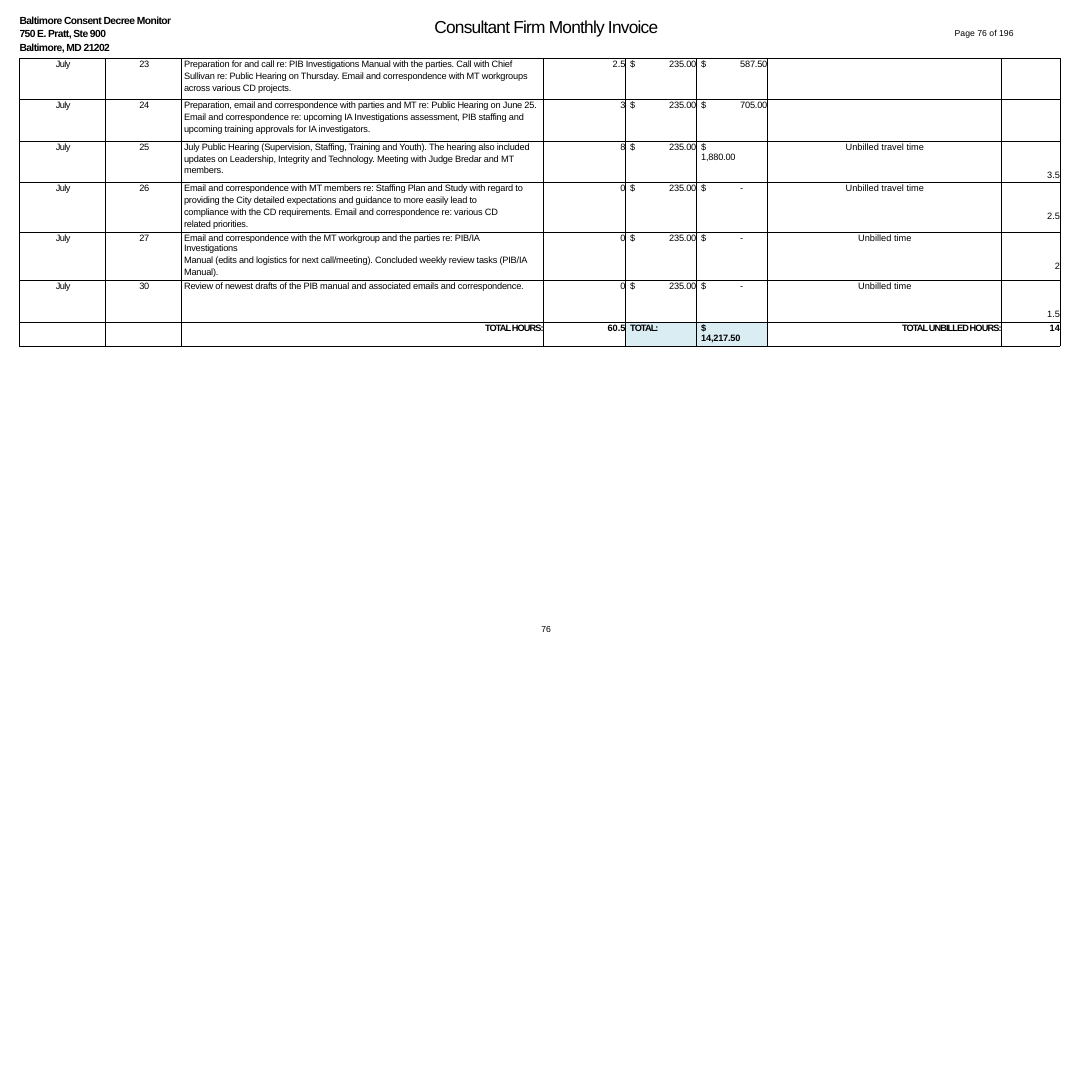
import pptx
import pptx.util
import pptx.dml.color
import pptx.enum.text
from lxml import etree
from pptx.oxml.ns import qn

Inches = pptx.util.Inches
Pt = pptx.util.Pt
ALIGN = pptx.enum.text.PP_ALIGN
COLORS = {"ink": "000000", "total": "D9EDF3"}
FONT = "Arial"
WIDTHS = [1.1, 0.98, 4.64, 1.05, 0.91, 0.91, 3, 0.75]
HEIGHTS = [0.53] * 6 + [0.16]
ALIGNS = [ALIGN.CENTER, ALIGN.CENTER, ALIGN.LEFT, ALIGN.RIGHT,
          ALIGN.LEFT, ALIGN.LEFT, ALIGN.CENTER, ALIGN.RIGHT]
INDENTS = [0.02, 0.02, 0.03, 0, 0.06, 0.06, 0.01, 0]
TRACKS = [-0.5, -0.2, -0.2, 0, -0.2, -0.2, 0, 0]
RATE = "$\t235.00"
ROWS = [
    ["July", "23",
     "Preparation for and call re: PIB Investigations Manual with the parties. Call with Chief\n"
     "Sullivan re: Public Hearing on Thursday. Email and correspondence with MT workgroups\v"
     "across various CD projects.", "2.5", RATE, "$\t587.50", "", ""],
    ["July", "24",
     "Preparation, email and correspondence with parties and MT re: Public Hearing on June 25.\n"
     "Email and correspondence re: upcoming IA Investigations assessment, PIB staffing and\v"
     "upcoming training approvals for IA investigators.", "3", RATE, "$\t705.00", "", ""],
    ["July", "25",
     "July Public Hearing (Supervision, Staffing, Training and Youth). The hearing also included\n"
     "updates on Leadership, Integrity and Technology. Meeting with Judge Bredar and MT\v"
     "members.", "8", RATE, "$\t1,880.00", "Unbilled travel time", "3.5"],
    ["July", "26",
     "Email and correspondence with MT members re: Staffing Plan and Study with regard to\n"
     "providing the City detailed expectations and guidance to more easily lead to\v"
     "compliance with the CD requirements. Email and correspondence re: various CD\v"
     "related priorities.", "0", RATE, "$\t-", "Unbilled travel time", "2.5"],
    ["July", "27",
     "Email and correspondence with the MT workgroup and the parties re: PIB/IA\v"
     "Investigations\n"
     "Manual (edits and logistics for next call/meeting). Concluded weekly review tasks (PIB/IA\v"
     "Manual).", "0", RATE, "$\t-", "Unbilled time", "2"],
    ["July", "30",
     "Review of newest drafts of the PIB manual and associated emails and correspondence.",
     "0", RATE, "$\t-", "Unbilled time", "1.5"],
    ["", "", "TOTAL HOURS:", "60.5", "TOTAL:", "$\t14,217.50",
     "TOTAL UNBILLED HOURS:", "14"],
]
TABS = {RATE: 0.5, "$\t587.50": 0.51, "$\t705.00": 0.51, "$\t1,880.00": 0.42,
        "$\t-": 0.69, "$\t14,217.50": 0.35}


def write(frame, text, size, track=0, bold=False, align=ALIGN.LEFT, indent=0.01, space=1.0):
    """Fill a text frame and format its paragraphs and runs."""
    frame.text = text
    frame.word_wrap = True
    for rank, para in enumerate(frame.paragraphs):
        para.alignment = align
        if rank or space != 1.15:
            para.line_spacing = space
        props = para._p.get_or_add_pPr()
        props.set("marL", str(Inches(indent)))
        props.set("indent", "0")
        if text in TABS:
            tabs = etree.SubElement(props, qn("a:tabLst"))
            etree.SubElement(tabs, qn("a:tab"), pos=str(Inches(TABS[text])), algn="l")
        for run in para.runs:
            run.font.name = FONT
            run.font.size = Pt(size)
            run.font.bold = bold
            run.font.color.rgb = pptx.dml.color.RGBColor.from_string(COLORS["ink"])
            run._r.get_or_add_rPr().set("spc", str(round(track * 100)))


def label(slide, box, text, size, top=0.02, **style):
    """Place a text box without side margins."""
    frame = slide.shapes.add_textbox(*map(Inches, box)).text_frame
    frame.margin_left = frame.margin_right = frame.margin_bottom = 0
    frame.margin_top = Inches(top)
    write(frame, text, size, **style)


def edge(cell):
    """Draw thin lines on all four sides of a cell."""
    props = cell._tc.get_or_add_tcPr()
    for rank, side in enumerate(("a:lnL", "a:lnR", "a:lnT", "a:lnB")):
        line = etree.Element(qn(side), w=str(Pt(0.75)))
        fill = etree.SubElement(line, qn("a:solidFill"))
        etree.SubElement(fill, qn("a:srgbClr"), val=COLORS["ink"])
        props.insert(rank, line)


def ledger(slide, box):
    """Place the table of hours and its row of totals."""
    table = slide.shapes.add_table(len(ROWS), len(WIDTHS), *map(Inches, box)).table
    table.first_row = table.horz_banding = False
    for col, width in zip(table.columns, WIDTHS):
        col.width = Inches(width)
    for row, height in zip(table.rows, HEIGHTS):
        row.height = Inches(height)
    for r, texts in enumerate(ROWS):
        total = r == len(ROWS) - 1
        for c, text in enumerate(texts):
            cell = table.cell(r, c)
            cell.margin_left = cell.margin_right = cell.margin_bottom = 0
            cell.margin_top = Inches(0.37 if c == 7 and text and not total else 0.01)
            if total and c in (4, 5):
                cell.fill.solid()
                cell.fill.fore_color.rgb = pptx.dml.color.RGBColor.from_string(COLORS["total"])
            else:
                cell.fill.background()
            edge(cell)
            heading = total and c in (2, 4, 6)
            write(cell.text_frame, text, 8.5, bold=total,
                  track=-0.85 if heading else TRACKS[c],
                  align=ALIGN.RIGHT if total and c in (2, 6) else ALIGNS[c],
                  indent=0 if total and c in (2, 6) else INDENTS[c],
                  space=1.15 if c == 2 else 1.0)


def header(slide, box):
    """Place the address, the title and the page count."""
    left, top, width, height = box
    label(slide, (left, top, 1.99, height),
          "Baltimore Consent Decree Monitor\v750 E. Pratt, Ste 900\nBaltimore, MD 21202",
          9.5, track=-0.5, bold=True, space=1.11)
    label(slide, (left + 5.32, top + 0.03, 2.92, 0.3),
          "Consultant Firm Monthly Invoice", 16, top=0.04, track=-0.7)
    label(slide, (left + width - 1.38, top + 0.2, 0.78, 0.16), "Page 76 of 196", 8)


def main():
    """Build the invoice page."""
    deck = pptx.Presentation()
    deck.slide_width, deck.slide_height = Inches(14), Inches(13.9)
    slide = deck.slides.add_slide(deck.slide_layouts[6])
    header(slide, (0.24, 0.14, 13.37, 0.55))
    ledger(slide, (0.25, 0.75, sum(WIDTHS), sum(HEIGHTS)))
    label(slide, (6.91, 8, 0.18, 0.15), "76", 8, top=0, indent=0.03)
    deck.save("out.pptx")


if __name__ == "__main__":
    main()
